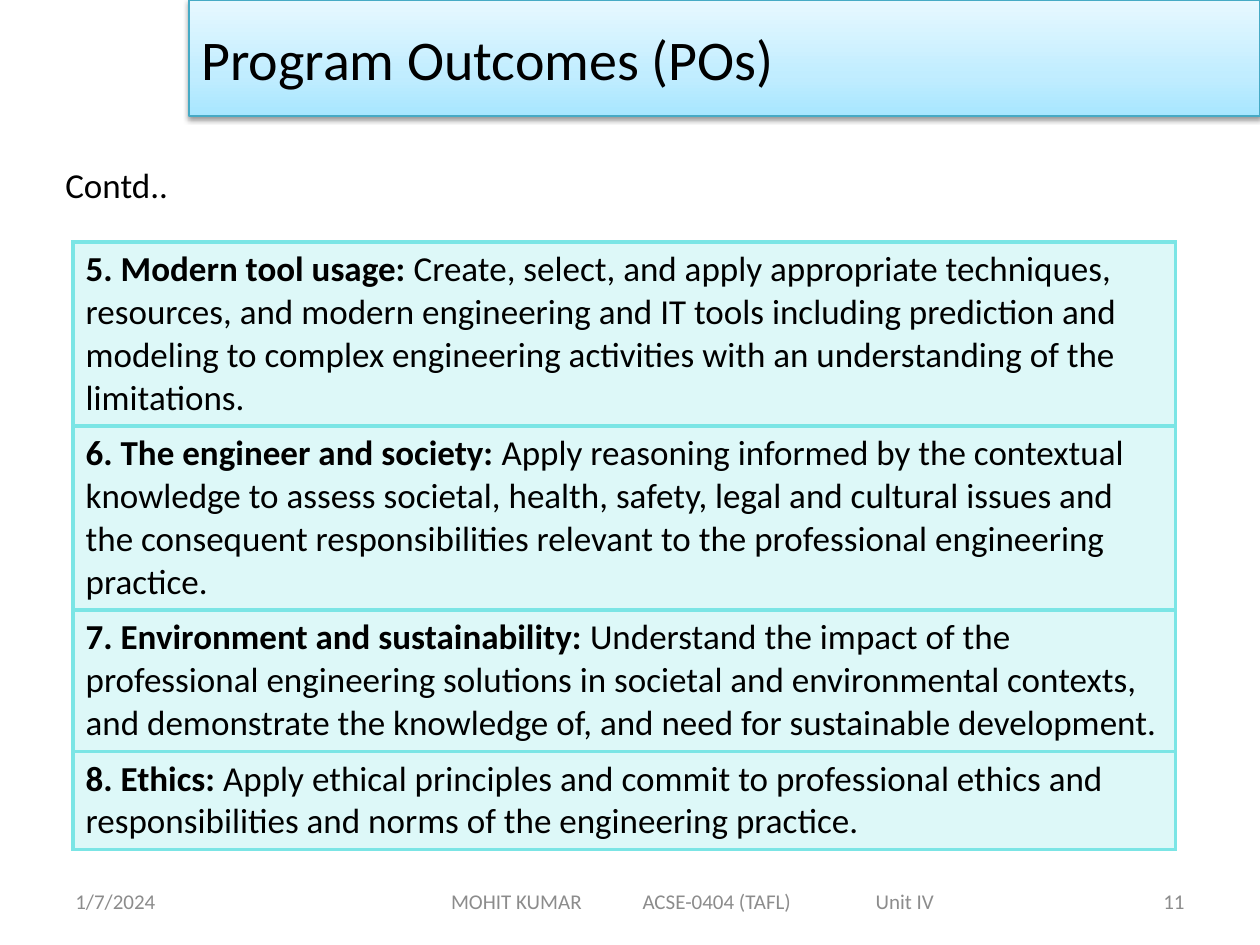
from dataclasses import dataclass
from typing import Any

from lxml import etree
from pptx import Presentation
from pptx import util as u
from pptx.dml import color as col
from pptx.enum import shapes, text
from pptx.oxml import ns, parse_xml


@dataclass(frozen=True)
class Theme:
    font: str = "Calibri"
    ink: str = "000000"
    muted: str = "8C8C8C"
    aqua: str = "7BE5E5"
    edge: str = "46AAC5"
    fade: tuple = ((0, "A7E6FF"), (35, "C1EDFF"), (100, "E7F8FF"))
    title: int = 32
    body: int = 20
    small: int = 12
    tint: int = 25
    rule: float = 2.25


@dataclass(frozen=True)
class Box:
    left: float
    top: float
    width: float
    height: float

    def dims(self) -> tuple:
        return tuple(u.Inches(n) for n in (self.left, self.top, self.width, self.height))


@dataclass(frozen=True)
class Outcome:
    name: str
    detail: str


@dataclass(frozen=True)
class Note:
    words: str
    box: Box
    align: Any = text.PP_ALIGN.LEFT
    inset: float = 0.1
    tabs: tuple = ()


THEME = Theme()
LEFT, RIGHT = text.PP_ALIGN.LEFT, text.PP_ALIGN.RIGHT

OUTCOMES = (
    Outcome("5. Modern tool usage: ",
            "Create, select, and apply appropriate techniques, resources, and modern "
            "engineering and IT tools including prediction and modeling to complex "
            "engineering activities with an understanding of the limitations."),
    Outcome("6. The engineer and society:",
            " Apply reasoning informed by the contextual knowledge to assess societal, "
            "health, safety, legal and cultural issues and the consequent "
            "responsibilities relevant to the professional engineering practice."),
    Outcome("7. Environment and sustainability: ",
            "Understand the impact of the professional engineering solutions in societal "
            "and environmental contexts, and demonstrate the knowledge of, and need for "
            "sustainable development."),
    Outcome("8. Ethics:",
            " Apply ethical principles and commit to professional ethics and "
            "responsibilities and norms of the engineering practice."),
)

FOOTER = (
    Note("1/7/2024", Box(0.5, 6.95, 2.33, 0.4)),
    Note("MOHIT KUMAR\tACSE-0404 (TAFL)\tUnit IV", Box(2.75, 6.95, 5.5, 0.4),
         inset=0.83, tabs=(1.52, 3.37)),
    Note("11", Box(7.17, 6.95, 2.33, 0.4), RIGHT),
)


def style(run: Any, size: int, tone: str = THEME.ink, bold: bool = False) -> None:
    run.font.name = THEME.font
    run.font.size = u.Pt(size)
    run.font.bold = bold
    run.font.color.rgb = col.RGBColor.from_string(tone)


def paint(hue: str, alpha: int = 100) -> str:
    return f'<a:srgbClr val="{hue}"><a:alpha val="{alpha * 1000}"/></a:srgbClr>'


def node(tag: str, attrs: str, inner: str) -> Any:
    return parse_xml(f'<a:{tag} {ns.nsdecls("a")} {attrs}>{inner}</a:{tag}>')


def banner(slide: Any, words: str, box: Box) -> None:
    bar = slide.shapes.add_shape(shapes.MSO_SHAPE.RECTANGLE, *box.dims())
    bar.line.color.rgb = col.RGBColor.from_string(THEME.edge)
    bar.line.width = u.Pt(0.75)
    stops = "".join(f'<a:gs pos="{at * 1000}">{paint(hue)}</a:gs>' for at, hue in THEME.fade)
    fill = node("gradFill", 'rotWithShape="1"',
                f'<a:gsLst>{stops}</a:gsLst><a:lin ang="16200000" scaled="0"/>')
    props = bar.element.spPr
    props.find(ns.qn("a:prstGeom")).addnext(fill)
    blur, gap = u.Pt(3.1), u.Pt(1.6)
    shade = (f'<a:outerShdw blurRad="{blur}" dist="{gap}" dir="5400000" '
             f'rotWithShape="0">{paint(THEME.ink, 38)}</a:outerShdw>')
    props.append(node("effectLst", "", shade))
    frame = bar.text_frame
    frame.text = words
    frame.vertical_anchor = text.MSO_ANCHOR.MIDDLE
    para = frame.paragraphs[0]
    para.alignment = LEFT
    style(para.runs[0], THEME.title)


def label(slide: Any, note: Note, size: int, tone: str) -> Any:
    frame = slide.shapes.add_textbox(*note.box.dims()).text_frame
    frame.text = note.words
    frame.word_wrap = True
    frame.margin_left = u.Inches(note.inset)
    frame.vertical_anchor = text.MSO_ANCHOR.MIDDLE
    para = frame.paragraphs[0]
    para.alignment = note.align
    for run in para.runs:
        style(run, size, tone)
    if note.tabs:
        stops = "".join(f'<a:tab pos="{u.Inches(at)}" algn="l"/>' for at in note.tabs)
        para._p.get_or_add_pPr().append(node("tabLst", "", stops))
    return frame


def border(cell: Any) -> None:
    props = cell._tc.get_or_add_tcPr()
    for rank, side in enumerate(("lnL", "lnR", "lnT", "lnB")):
        line = node(side, f'w="{u.Pt(THEME.rule)}"',
                    f"<a:solidFill>{paint(THEME.aqua)}</a:solidFill>")
        props.insert(rank, line)


def grid(slide: Any, items: tuple, box: Box, least: float) -> None:
    frame = slide.shapes.add_table(len(items), 1, *box.dims())
    table = frame.table
    table.first_row = table.horz_banding = False
    for row, item in zip(table.rows, items):
        row.height = u.Inches(least)
        cell = row.cells[0]
        para = cell.text_frame.paragraphs[0]
        for words, bold in ((item.name, True), (item.detail, False)):
            run = para.add_run()
            run.text = words
            style(run, THEME.body, bold=bold)
        cell.fill.solid()
        cell.fill.fore_color.rgb = col.RGBColor.from_string(THEME.aqua)
        hue = cell._tc.tcPr.find(".//" + ns.qn("a:srgbClr"))
        etree.SubElement(hue, ns.qn("a:alpha")).set("val", str(THEME.tint * 1000))
        border(cell)
    frame.height = u.Inches(box.height)


def main() -> None:
    deck = Presentation()
    deck.slide_width, deck.slide_height = u.Inches(10), u.Inches(7.5)
    slide = deck.slides.add_slide(deck.slide_layouts[6])
    grid(slide, OUTCOMES, Box(0.58, 1.92, 8.75, 4.73), 0.41)
    lead = label(slide, Note("Contd..", Box(0.42, 1.25, 1.02, 0.44)), THEME.body, THEME.ink)
    lead.word_wrap = False
    lead.auto_size = text.MSO_AUTO_SIZE.SHAPE_TO_FIT_TEXT
    lead.vertical_anchor = text.MSO_ANCHOR.TOP
    banner(slide, "Program Outcomes (POs)", Box(1.5, 0, 8.5, 0.92))
    for note in FOOTER:
        label(slide, note, THEME.small, THEME.muted)
    deck.save("out.pptx")


if __name__ == "__main__":
    main()
